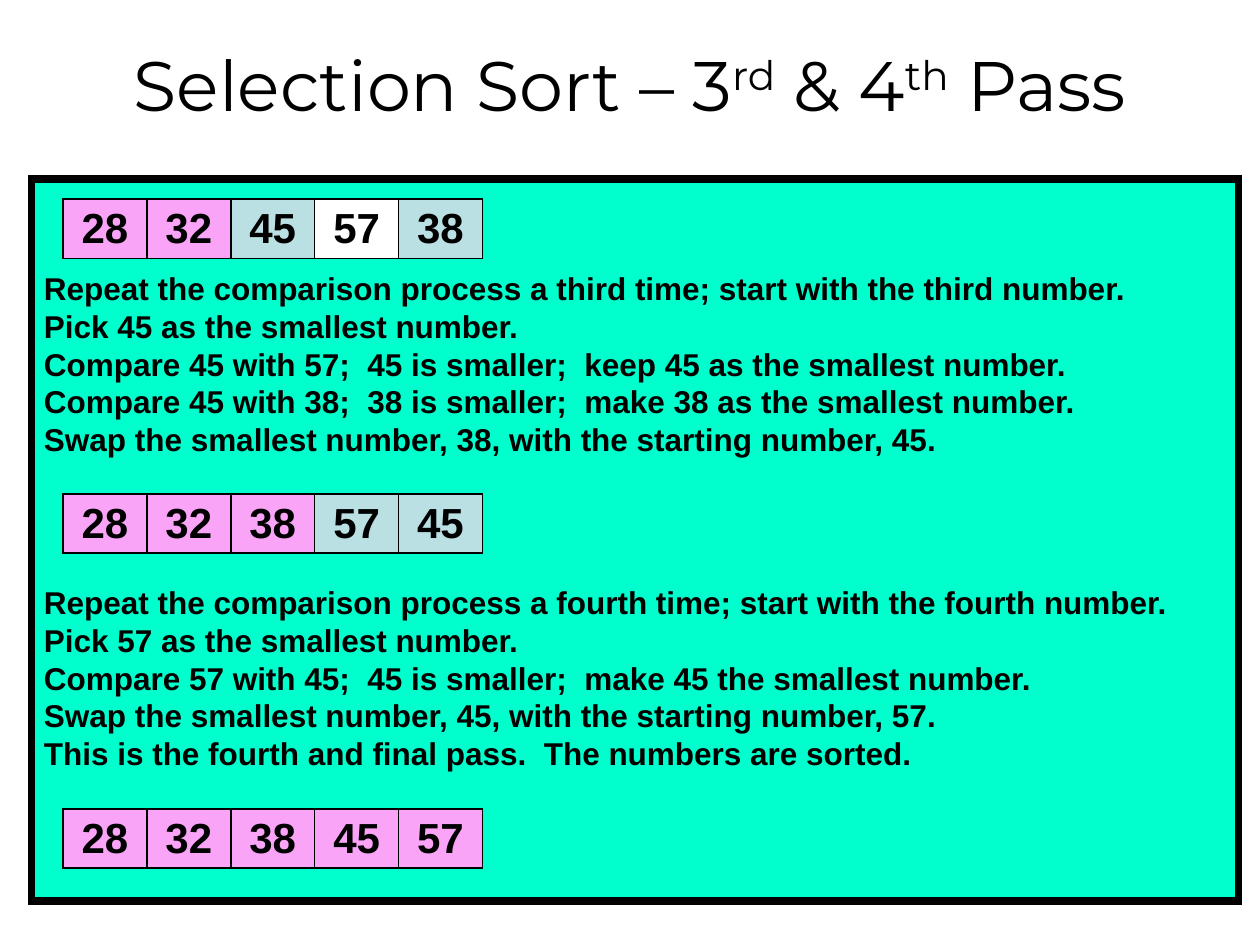
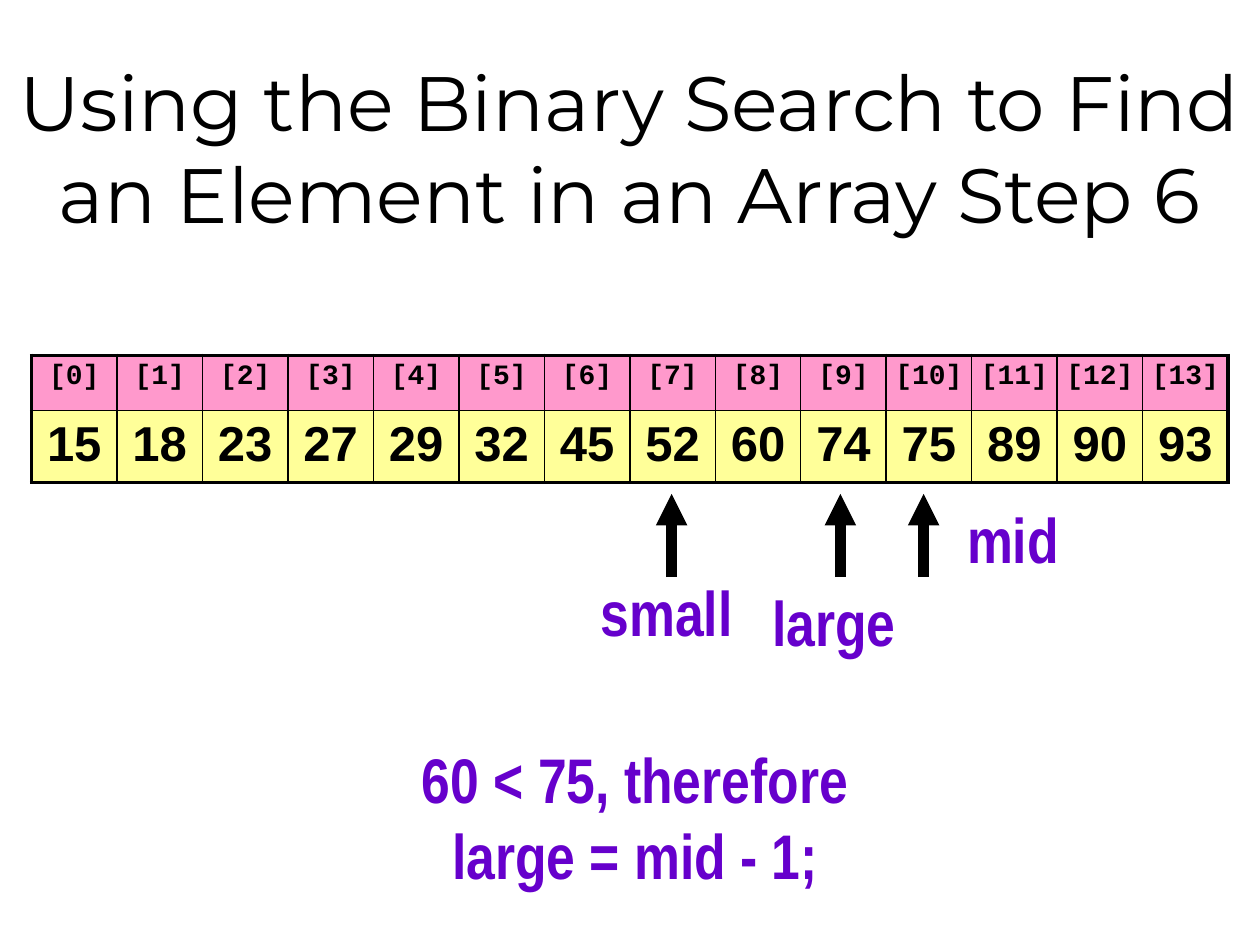
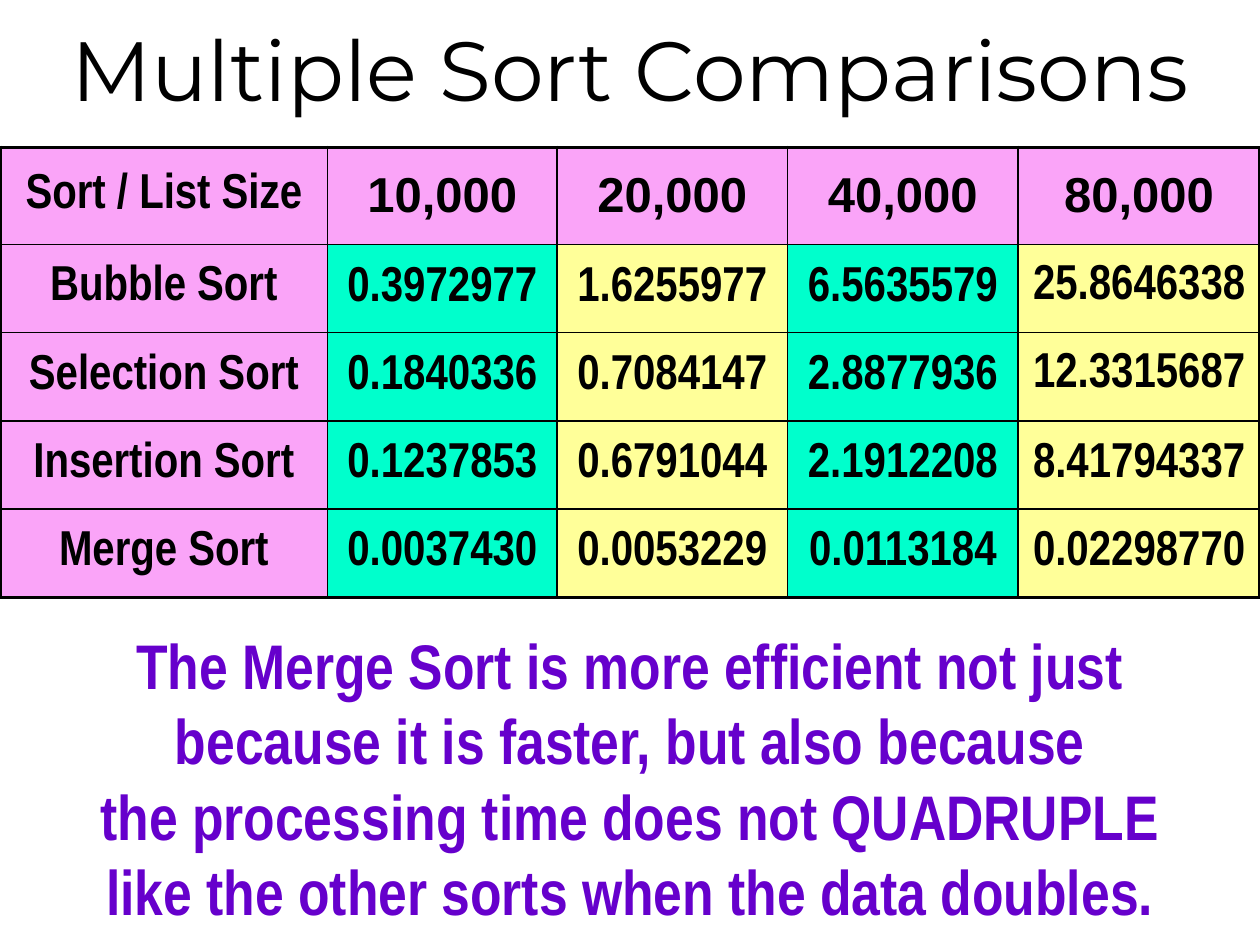
from lxml.etree import SubElement
from pptx import Presentation
from pptx.dml.color import RGBColor
from pptx.enum.shapes import MSO_CONNECTOR as Connector, MSO_SHAPE as Shape
from pptx.enum.text import MSO_ANCHOR as Anchor, PP_ALIGN as Align
from pptx.oxml.ns import qn
from pptx.util import Inches, Pt

BLACK, WHITE, PURPLE = "000000", "FFFFFF", "6600CC"
PINK, ROSE, YELLOW, MINT, PALE = "FAA4F8", "FF99CC", "FFFF99", "00FFCC", "BBE0E3"
TITLE = {"name": "Montserrat", "color": BLACK, "bold": False}
BODY = {"name": "Arial", "color": BLACK, "bold": True}
NARROW = {**BODY, "name": "Arial Narrow"}
CODE = {**BODY, "name": "Courier New", "size": Pt(16)}
CAPTION = {**NARROW, "color": PURPLE, "size": Pt(36)}

THIRD_PASS = [
    "Repeat the comparison process a third time; start with the third number.",
    "Pick 45 as the smallest number.",
    "Compare 45 with 57;  45 is smaller;  keep 45 as the smallest number.",
    "Compare 45 with 38;  38 is smaller;  make 38 as the smallest number.",
    "Swap the smallest number, 38, with the starting number, 45.",
]
FOURTH_PASS = [
    "Repeat the comparison process a fourth time; start with the fourth number.",
    "Pick 57 as the smallest number.",
    "Compare 57 with 45;  45 is smaller;  make 45 the smallest number.",
    "Swap the smallest number, 45, with the starting number, 57.",
    "This is the fourth and final pass.  The numbers are sorted.",
]
ARRAY = [15, 18, 23, 27, 29, 32, 45, 52, 60, 74, 75, 89, 90, 93]
TIMINGS = [
    ["Sort / List Size", "10,000", "20,000", "40,000", "80,000"],
    ["Bubble Sort", "0.3972977", "1.6255977", "6.5635579", "25.8646338"],
    ["Selection Sort", "0.1840336", "0.7084147", "2.8877936", "12.3315687"],
    ["Insertion Sort", "0.1237853", "0.6791044", "2.1912208", "8.41794337"],
    ["Merge Sort", "0.0037430", "0.0053229", "0.0113184", "0.02298770"],
]
LAST_COLUMN_SPACING = [1.0, 0.8, 0.8, 0.9, 1.0]


def rgb(value):
    """Turn a hex string into a colour."""
    return RGBColor.from_string(value)


def set_all(target, values):
    """Set each named attribute of the target."""
    for name, value in values.items():
        setattr(target, name, value)


def add_span(para, text, style):
    """Append a styled run to a paragraph and return it."""
    span = para.add_run()
    span.text = text
    set_all(span.font, {key: value for key, value in style.items() if key != "color"})
    span.font.color.rgb = rgb(style["color"])
    return span


def write_lines(frame, lines, style, **para_format):
    """Fill a text frame with one paragraph for each line."""
    for index, line in enumerate(lines):
        para = frame.add_paragraph() if index else frame.paragraphs[0]
        set_all(para, para_format)
        add_span(para, line, style)


def add_title(page, parts, top, height, size):
    """Add a centred title in which every second part is superscript."""
    box = page.shapes.add_textbox(0, Inches(top), Inches(10), Inches(height))
    set_all(box.text_frame, {"word_wrap": True, "vertical_anchor": Anchor.MIDDLE})
    para = box.text_frame.paragraphs[0]
    para.alignment = Align.CENTER
    for index, part in enumerate(parts):
        span = add_span(para, part, {**TITLE, "size": Pt(size)})
        if index % 2:
            span._r.get_or_add_rPr().set("baseline", "30000")


def add_caption(page, lines, left, top, width, height):
    """Add centred purple lines that do not wrap."""
    box = page.shapes.add_textbox(*map(Inches, (left, top, width, height)))
    set_all(box.text_frame, {"word_wrap": False, "margin_left": 0, "margin_right": 0})
    write_lines(box.text_frame, lines, CAPTION, alignment=Align.CENTER)


def add_panel(page):
    """Add the framed panel that explains both passes."""
    panel = page.shapes.add_shape(
        Shape.RECTANGLE, *map(Inches, (0.25, 1.42, 9.58, 5.73)))
    panel.shadow.inherit = False
    panel.fill.solid()
    panel.fill.fore_color.rgb = rgb(MINT)
    panel.line.color.rgb = rgb(BLACK)
    panel.line.width = Pt(4.5)
    SubElement(panel.line._get_or_add_ln(), qn("a:miter"), lim="800000")
    frame = panel.text_frame
    set_all(frame, {"word_wrap": True, "vertical_anchor": Anchor.TOP,
                    "margin_top": Inches(0.72)})
    write_lines(frame, THIRD_PASS + FOURTH_PASS, {**BODY, "size": Pt(18)},
                alignment=Align.LEFT, line_spacing=Pt(21.5))
    frame.paragraphs[len(THIRD_PASS)].space_before = Pt(72)


def add_border(cell, side, width):
    """Draw one black side of a cell."""
    line = SubElement(cell._tc.get_or_add_tcPr(), qn(f"a:ln{side}"), w=str(Pt(width)))
    fill = SubElement(line, qn("a:solidFill"))
    SubElement(fill, qn("a:srgbClr"), val=BLACK)


def add_grid(page, left, top, widths, heights, rows, edge, cell_format):
    """Add a table whose rows hold (text, fill, style, line spacing)."""
    area = map(Inches, (left, top, sum(widths), sum(heights)))
    table = page.shapes.add_table(len(heights), len(widths), *area).table
    set_all(table, {"first_row": False, "horz_banding": False})
    for column, width in zip(table.columns, widths):
        column.width = Inches(width)
    for row, height in zip(table.rows, heights):
        row.height = Inches(height)
    for y, entries in enumerate(rows):
        for x, (text, fill, style, spacing) in enumerate(entries):
            cell = table.cell(y, x)
            set_all(cell, cell_format)
            on_edge = {"L": x == 0, "R": x == len(widths) - 1,
                       "T": y == 0, "B": y == len(heights) - 1}
            for side, outer in on_edge.items():
                add_border(cell, side, edge if outer else 1)
            cell.fill.solid()
            cell.fill.fore_color.rgb = rgb(fill)
            write_lines(cell.text_frame, [text], style,
                        alignment=Align.CENTER, line_spacing=spacing)


def add_number_row(page, top, numbers, fills):
    """Add one state of the list being sorted."""
    style = {**BODY, "size": Pt(24)}
    row = [(str(number), fill, style, 1.0) for number, fill in zip(numbers, fills)]
    add_grid(page, 0.5, top, [3.33 / len(row)] * len(row), [0.47], [row], 1,
             {"margin_bottom": Inches(0.02)})


def add_pointer(page, x):
    """Add a thick arrow that points up at the array."""
    arrow = page.shapes.add_connector(
        Connector.STRAIGHT, *map(Inches, (x, 4.58, x, 3.92)))
    arrow.line.color.rgb = rgb(BLACK)
    arrow.line.width = Pt(6)
    SubElement(arrow.line._get_or_add_ln(), qn("a:tailEnd"), type="triangle")
    SubElement(arrow._element.spPr, qn("a:effectLst"))


def build_selection_sort(page):
    """Show the third and fourth pass of the selection sort."""
    add_panel(page)
    add_title(page, ["Selection Sort – 3", "rd", " & 4", "th", " Pass"], 0.25, 0.83, 40)
    add_number_row(page, 1.58, [28, 32, 45, 57, 38], [PINK, PINK, PALE, WHITE, PALE])
    add_number_row(page, 3.92, [28, 32, 38, 57, 45], [PINK] * 3 + [PALE] * 2)
    add_number_row(page, 6.42, [28, 32, 38, 45, 57], [PINK] * 5)


def build_binary_search(page):
    """Show one step of the binary search."""
    add_title(page, ["Using the Binary Search to Find an Element in an Array Step 6"],
              0, 2.33, 44)
    indexes = [(f"[{index}]", ROSE, CODE, 1.0) for index in range(len(ARRAY))]
    values = [(str(value), YELLOW, {**BODY, "size": Pt(28)}, 1.0) for value in ARRAY]
    margins = {f"margin_{side}": Inches(0.05)
               for side in ("left", "right", "top", "bottom")}
    add_grid(page, 0.25, 2.82, [9.5 / len(ARRAY)] * len(ARRAY), [0.44, 0.57],
             [indexes, values], 2.25, margins)
    for x in (5.33, 6.67, 7.33):
        add_pointer(page, x)
    for label, left, top in (("small", 4.75, 4.5), ("large", 6.08, 4.58),
                             ("mid", 7.5, 3.92)):
        add_caption(page, [label], left, top, 1.08, 0.82)
    add_caption(page, ["60 < 75, therefore", "large = mid - 1;"], 2.33, 5.83, 5.42, 1.33)


def timing_cell(y, x, text):
    """Describe one cell of the timing table."""
    fill = PINK if 0 in (x, y) else MINT if x % 2 else YELLOW
    font = BODY if y == 0 and x else NARROW
    spacing = 0.9 if x == 0 else LAST_COLUMN_SPACING[y] if x == 4 else 1.0
    return text, fill, {**font, "size": Pt(28)}, spacing


def build_comparisons(page):
    """Compare the running times of the sorts."""
    add_title(page, ["Multiple Sort Comparisons"], 0, 1.08, 48)
    rows = [[timing_cell(y, x, text) for x, text in enumerate(texts)]
            for y, texts in enumerate(TIMINGS)]
    add_grid(page, 0, 1.17, [2.6, 1.82, 1.83, 1.83, 1.92], [0.77] + [0.7] * 4,
             rows, 2.25, {"vertical_anchor": Anchor.MIDDLE})
    add_caption(page, ["The Merge Sort is more efficient not just",
                       "because it is faster, but also because",
                       "the processing time does not QUADRUPLE",
                       "like the other sorts when the data doubles."],
                0.25, 4.92, 9.5, 2.41)


def main():
    """Build the deck and save it."""
    deck = Presentation()
    set_all(deck, {"slide_width": Inches(10), "slide_height": Inches(7.5)})
    for build in (build_selection_sort, build_binary_search, build_comparisons):
        build(deck.slides.add_slide(deck.slide_layouts[6]))
    deck.save("out.pptx")


if __name__ == "__main__":
    main()
